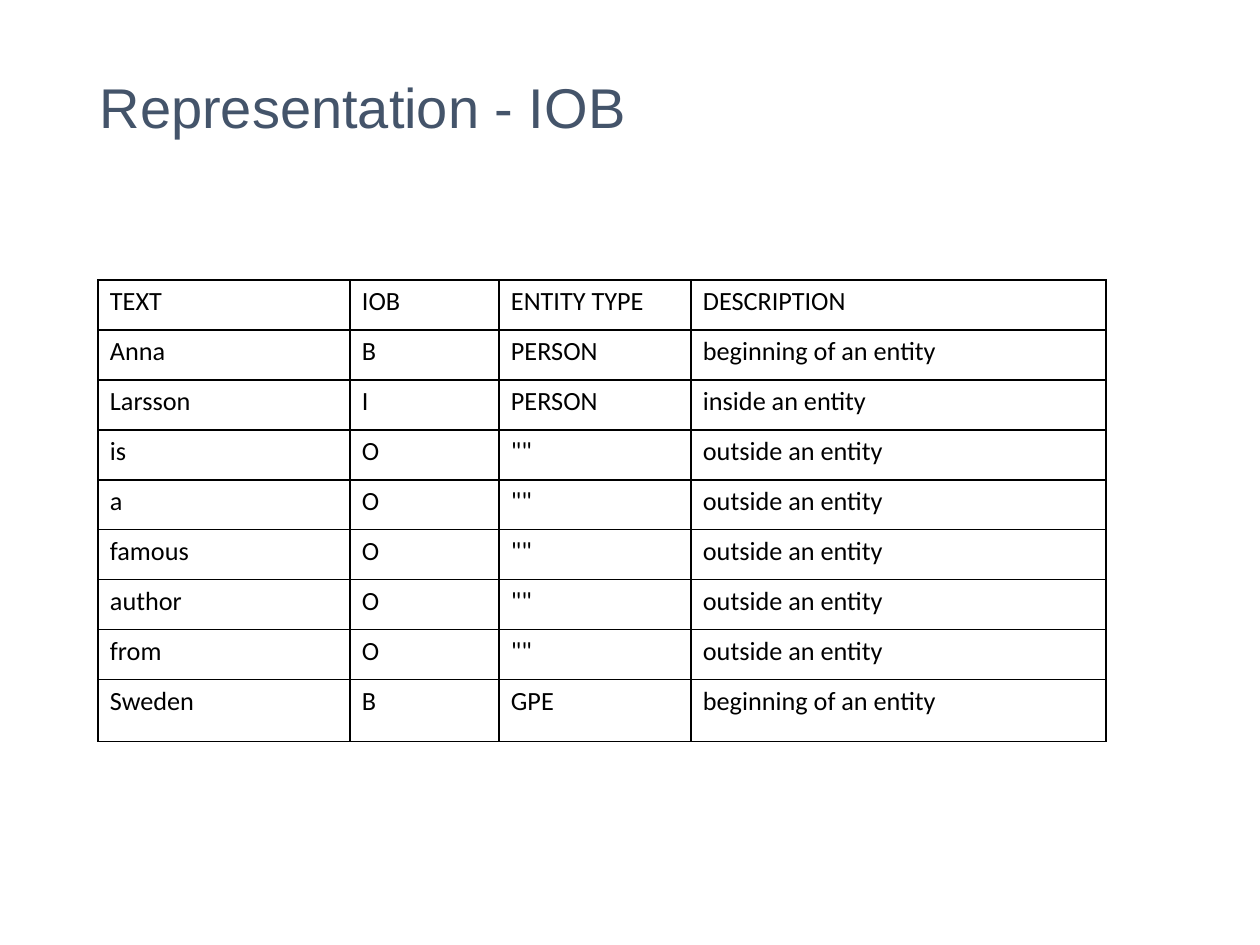
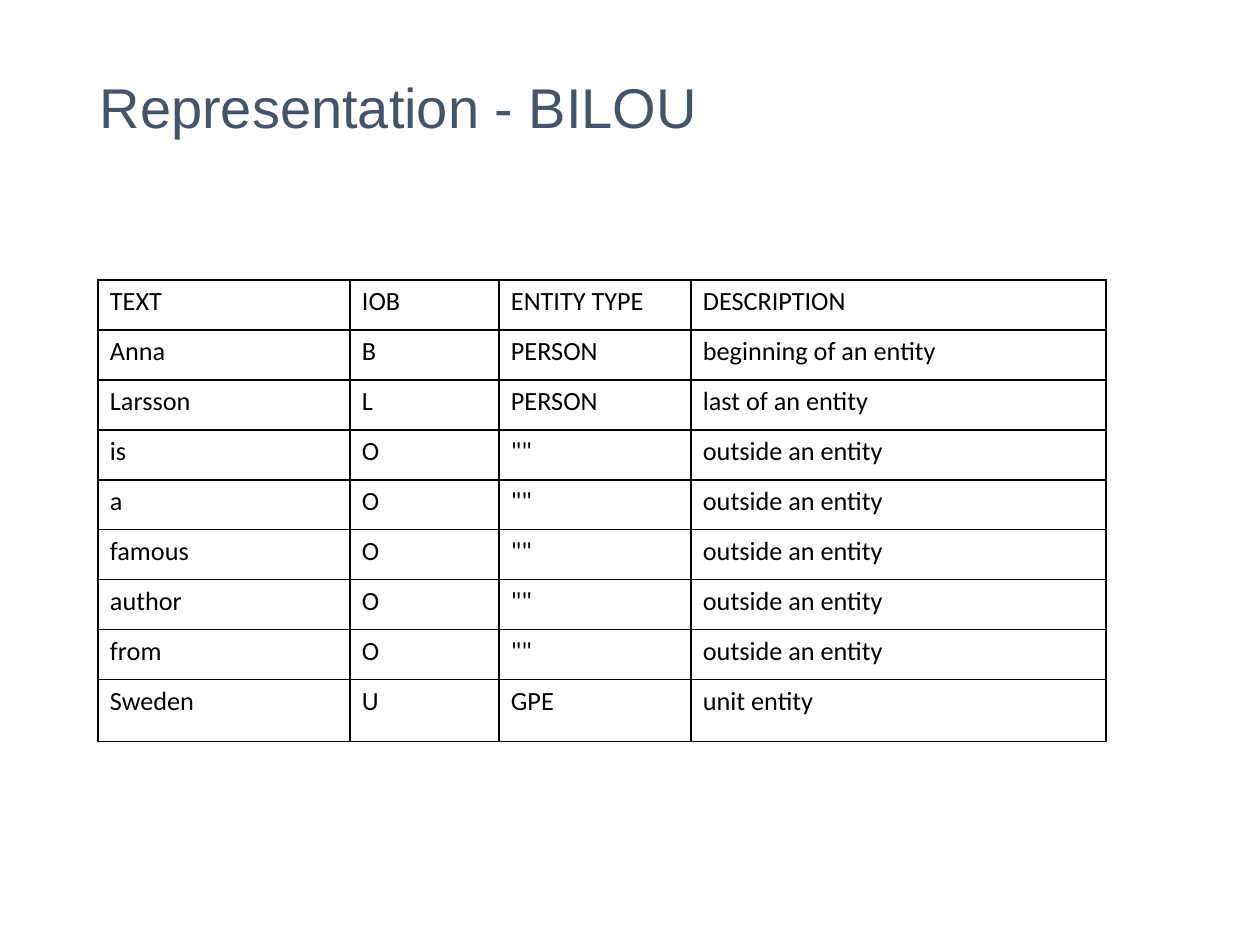
from lxml.etree import SubElement
from pptx import Presentation
from pptx.dml.color import RGBColor
from pptx.enum.text import MSO_ANCHOR, PP_ALIGN
from pptx.oxml.ns import qn
from pptx.util import Pt

PX = 914400 / 126
TITLE_COLOR = "44546A"
TABLE_COLOR = "000000"
TITLE_ONLY = 5

COLUMN_WIDTHS = [252, 149, 192, 415]
ROW_HEIGHTS = [50] * 8 + [62]
HEADER = ("TEXT", "IOB", "ENTITY TYPE", "DESCRIPTION")
TOKENS = ["Anna", "Larsson", "is", "a", "famous", "author", "from", "Sweden"]
ENTITY_TYPES = ["PERSON"] * 2 + ['""'] * 5 + ["GPE"]
MEANINGS = {
    "B": "beginning of an entity",
    "I": "inside an entity",
    "L": "last of an entity",
    "O": "outside an entity",
    "U": "unit entity",
}
SCHEMES = {"IOB": "BIOOOOOB", "BILOU": "BLOOOOOU"}


def px(length):
    return round(length * PX)


def style_font(font, name, size, color):
    font.name = name
    font.size = Pt(size)
    font.color.rgb = RGBColor.from_string(color)


prs = Presentation()
prs.slide_width, prs.slide_height = px(1260), px(945)

for scheme, tags in SCHEMES.items():
    slide = prs.slides.add_slide(prs.slide_layouts[TITLE_ONLY])

    title = slide.shapes.title
    title.left, title.top, title.width, title.height = px(87), px(50), px(1086), px(121)
    title.text_frame.text = f"Representation - {scheme}"
    title.text_frame.vertical_anchor = MSO_ANCHOR.MIDDLE
    heading = title.text_frame.paragraphs[0]
    heading.alignment = PP_ALIGN.LEFT
    heading.line_spacing = 0.9
    style_font(heading.runs[0].font, "Arial", 32, TITLE_COLOR)

    descriptions = [MEANINGS[tag] for tag in tags]
    rows = [HEADER, *zip(TOKENS, tags, ENTITY_TYPES, descriptions)]
    tagging = slide.shapes.add_table(
        len(rows), len(HEADER), px(98), px(280),
        px(sum(COLUMN_WIDTHS)), px(sum(ROW_HEIGHTS))).table
    tagging.first_row = tagging.horz_banding = False
    for column, width in zip(tagging.columns, COLUMN_WIDTHS):
        column.width = px(width)
    for row, height, values in zip(tagging.rows, ROW_HEIGHTS, rows):
        row.height = px(height)
        for cell, value in zip(row.cells, values):
            cell.text_frame.text = value
            style_font(cell.text_frame.paragraphs[0].runs[0].font,
                       "Calibri", 15, TABLE_COLOR)
            cell.margin_left = cell.margin_right = px(12)
            cell.margin_top = cell.margin_bottom = px(6)
            cell_props = cell._tc.get_or_add_tcPr()
            for side in ("a:lnL", "a:lnR", "a:lnT", "a:lnB"):
                border = SubElement(cell_props, qn(side), w=str(Pt(1)))
                border_fill = SubElement(border, qn("a:solidFill"))
                SubElement(border_fill, qn("a:srgbClr"), val=TABLE_COLOR)
            cell.fill.background()

prs.save("out.pptx")
